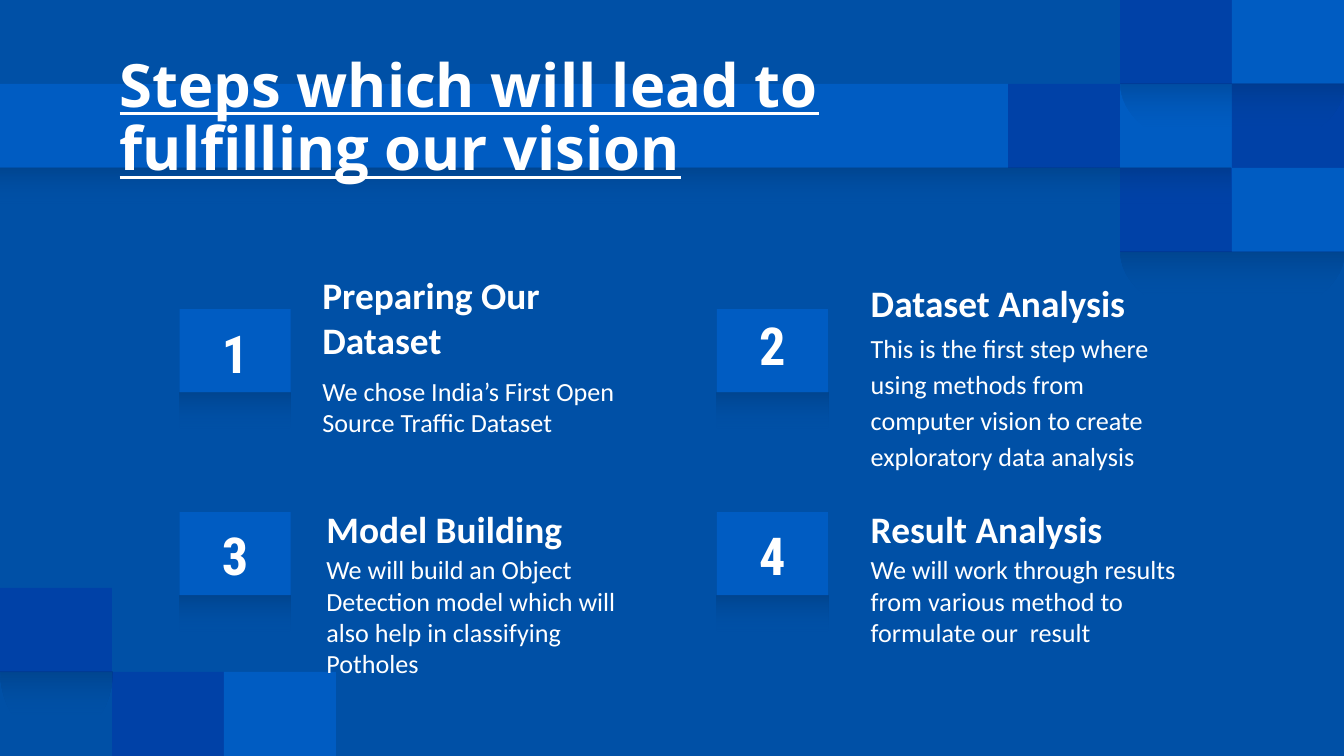
from math import cos, pi, sin
from lxml.etree import SubElement
from pptx import Presentation
from pptx.dml.color import RGBColor
from pptx.enum.shapes import MSO_SHAPE as Kind
from pptx.enum.text import MSO_ANCHOR as Anchor, MSO_AUTO_SIZE as Fit, PP_ALIGN as Align
from pptx.oxml.ns import qn
from pptx.util import Pt

TITLE = "Steps which will lead to fulfilling our vision"
BASE, LIGHT, DARK, SHADE, WHITE = "0050A6", "005CC2", "0041A7", "003166", "FFFFFF"
COL, ROW = 60, 45
TILES = [
    (0, 1, 9, LIGHT), (9, 1, 1, DARK),
    (10, 0, 1, DARK), (11, 0, 1, LIGHT),
    (10, 1, 1, LIGHT), (11, 1, 1, DARK),
    (10, 2, 1, DARK), (11, 2, 1, LIGHT),
    (0, 7, 1, DARK), (1, 8, 1, DARK), (2, 8, 1, LIGHT),
]
BOWLS = [(10, 3, 2), (10, 1, 2), (0, 8, 1)]
XS, YS = (96.2, 384), (165.6, 274.3)
CARD_W, CARD_H, FADE_H = 59.5, 44.6, 31
STEPS = [
    dict(num="1", dy=14.4, head="Preparing Our Dataset", box=(165.6, 144, 56.9),
         text="We chose India’s First Open Source Traffic Dataset", body=200.9, gap=1),
    dict(num="2", dy=10.1, head="Dataset Analysis", box=(459.4, 144, 37.4),
         text="This is the first step where using methods from computer vision "
              "to create exploratory data analysis", body=175.7, gap=1.15),
    dict(num="3", dy=13.7, head="Model Building", box=(167.8, 265, 37.4),
         text="We will build an Object Detection model which will also help "
              "in classifying Potholes", body=296.6, gap=1),
    dict(num="4", dy=13.7, head="Result Analysis", box=(459.4, 265, 37.4),
         text="We will work through results from various method to formulate "
              "our  result", body=296.6, gap=1),
]


def tint(color, code):
    color.rgb = RGBColor.from_string(code)


def plain(shape):
    shape.shadow.inherit = False
    shape.line.fill.background()


def block(x, y, w, h, code):
    shape = slide.shapes.add_shape(Kind.RECTANGLE, Pt(x), Pt(y), Pt(w), Pt(h))
    plain(shape)
    shape.fill.solid()
    tint(shape.fill.fore_color, code)


def fade(shape):
    plain(shape)
    fill = shape.fill
    fill.gradient()
    fill.gradient_angle = 90
    for stop, spot, code in zip(fill.gradient_stops, (0.38, 1), (BASE, SHADE)):
        stop.position = spot
        tint(stop.color, code)
    for node, alpha in zip(shape._element.spPr.iter(qn("a:srgbClr")), (0, 35000)):
        SubElement(node, qn("a:alpha")).set("val", str(alpha))


def strip(x, y, w):
    shape = slide.shapes.add_shape(Kind.ROUND_2_SAME_RECTANGLE, Pt(x), Pt(y), Pt(w), Pt(FADE_H))
    shape.adjustments[0], shape.adjustments[1] = 0, 0.5
    fade(shape)


def bowl(col, row, span):
    half, deep = span * COL / 2, 37.3
    mid, top = col * COL + half, row * ROW
    arc = [(Pt(mid + half * cos(pi * i / 40)), Pt(top + deep * sin(pi * i / 40)))
           for i in range(41)]
    path = slide.shapes.build_freeform(*arc[0])
    path.add_line_segments(arc[1:], close=True)
    fade(path.convert_to_shape())


def style(shape, text, size, font, bold=False, anchor=Anchor.MIDDLE,
          align=Align.LEFT, top=7.2, low=7.2, gap=None):
    frame = shape.text_frame
    frame.text = text
    frame.word_wrap, frame.auto_size = True, Fit.NONE
    frame.vertical_anchor = anchor
    frame.margin_left = frame.margin_right = Pt(7.2)
    frame.margin_top, frame.margin_bottom = Pt(top), Pt(low)
    para = frame.paragraphs[0]
    para.alignment, para.line_spacing = align, gap
    face = para.runs[0].font
    face.size, face.name, face.bold = Pt(size), font, bold
    tint(face.color, WHITE)
    return face


def label(x, y, w, h, *args, **opts):
    style(slide.shapes.add_textbox(Pt(x), Pt(y), Pt(w), Pt(h)), *args, **opts)


deck = Presentation()
deck.slide_width, deck.slide_height = Pt(720), Pt(405)
slide = deck.slides.add_slide(deck.slide_layouts[5])
slide.background.fill.solid()
tint(slide.background.fill.fore_color, BASE)

for col, row, span, code in TILES:
    block(col * COL, row * ROW, span * COL, ROW, code)
strip(0, 2 * ROW, 659)
for spot in BOWLS:
    bowl(*spot)

title = slide.shapes.title
title.left, title.top, title.width, title.height = Pt(56.9), Pt(48.2), Pt(483), Pt(42.5)
style(title, TITLE, 32, "Open Sans", True, low=17, gap=0.885).underline = True
slide.shapes._spTree.append(title._element)

for i, step in enumerate(STEPS):
    x, y = XS[i % 2], YS[i // 2]
    block(x, y, CARD_W, CARD_H, LIGHT)
    strip(x, y + CARD_H, CARD_W)
    label(x, y + step["dy"], CARD_W, 18, step["num"], 28, "Roboto Condensed", True,
          align=Align.CENTER)
    left, top, high = step["box"]
    label(left, top, 185, high, step["head"], 20, "Calibri", True, anchor=Anchor.BOTTOM)
    label(left, step["body"], 185, 37.4, step["text"], 14, "Calibri",
          anchor=Anchor.TOP, top=0, gap=step["gap"])

deck.save("out.pptx")
